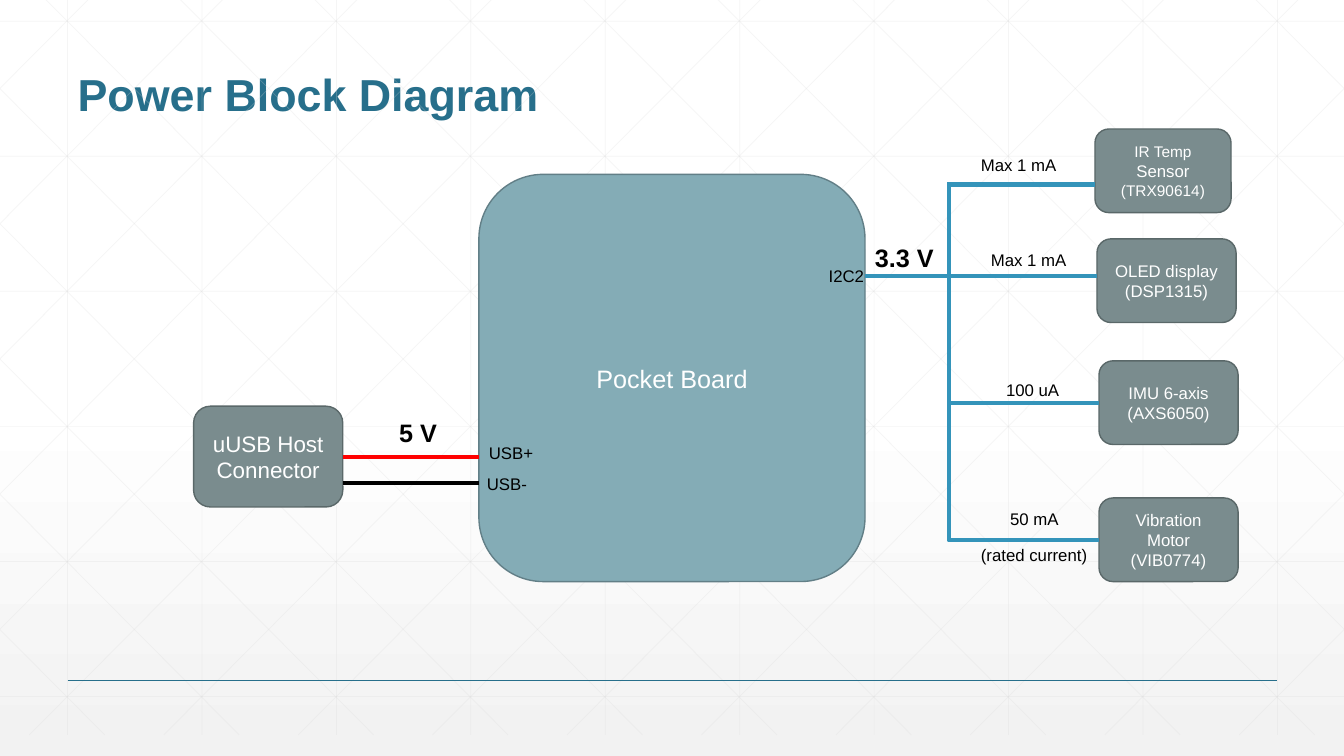
from dataclasses import dataclass

from lxml.etree import SubElement as Sub
from pptx import Presentation
from pptx.dml.color import RGBColor as RGB
from pptx.enum.shapes import MSO_CONNECTOR as Link, MSO_SHAPE as Shape
from pptx.enum.text import MSO_ANCHOR as Anchor, PP_ALIGN as Align
from pptx.oxml.ns import qn
from pptx.util import Inches, Pt


@dataclass(frozen=True)
class Theme:
    font: str = "Arial"
    title: str = "276F8B"
    board: str = "84ACB6"
    board_edge: str = "627F87"
    unit: str = "7A8C8E"
    unit_edge: str = "5A6869"
    bus: str = "3494BA"
    plus: str = "FF0000"
    black: str = "000000"
    white: str = "FFFFFF"
    fade: str = "F2F2F2"
    mesh: str = "D9D9D9"
    head_size: int = 32
    big: int = 18
    mid: int = 16
    small: int = 12
    tiny: int = 11


T = Theme()
WIDE, HIGH = 13.33, 7.5


def style(para, size, color, bold=False):
    for run in para.runs:
        font = run.font
        font.name, font.size, font.bold = T.font, Pt(size), bold
        font.color.rgb = RGB.from_string(color)


def line(shapes, start, end, color, width=3, kind=Link.STRAIGHT):
    ends = [Inches(v) for v in (*start, *end)]
    link = shapes.add_connector(kind, *ends)
    link.line.color.rgb = RGB.from_string(color)
    link.line.width = Pt(width)
    Sub(link._element.spPr, qn("a:effectLst"))
    return link


def elbow(shapes, start, end):
    """Run down first, then across."""
    link = line(shapes, start, end, T.bus, kind=Link.ELBOW)
    shape = link._element.spPr.find(qn("a:prstGeom"))
    guides = shape.find(qn("a:avLst"))
    if guides is None:
        guides = Sub(shape, qn("a:avLst"))
    Sub(guides, qn("a:gd"), name="adj1", fmla="val 0")


def block(shapes, spot, text, size, fill=T.unit, edge=T.unit_edge):
    box = shapes.add_shape(Shape.ROUNDED_RECTANGLE, *[Inches(v) for v in spot])
    box.shadow.inherit = False
    box.fill.solid()
    box.fill.fore_color.rgb = RGB.from_string(fill)
    box.line.color.rgb = RGB.from_string(edge)
    box.line.width = Pt(1)
    frame = box.text_frame
    frame.text = text
    frame.vertical_anchor = Anchor.MIDDLE
    for para in frame.paragraphs:
        para.alignment = Align.CENTER
        style(para, size, T.white)
    return box


def label(shapes, spot, text, size=T.small, bold=False):
    box = shapes.add_textbox(*[Inches(v) for v in spot])
    frame = box.text_frame
    frame.word_wrap = True
    frame.text = text
    style(frame.paragraphs[0], size, T.black, bold)


def backdrop(slide):
    fill = slide.background.fill
    fill.gradient()
    fill.gradient_angle = 270
    for stop, spot, color in zip(fill.gradient_stops, (0.53, 1), (T.white, T.fade)):
        stop.position = spot
        stop.color.rgb = RGB.from_string(color)


def mesh(slide):
    top, low, step = -0.21, 7.29, 4 / 3
    run = 7.455
    slope = (low - top) / run
    rays = [((0.67 + step * i, top), (0.67 + step * i, low)) for i in range(10)]
    rays += [((0, 0.21 + 1.34 * i), (WIDE, 0.21 + 1.34 * i)) for i in range(6)]
    # Diagonals clipped at the slide edges, each with its mirror
    for i in range(-5, 10):
        base = 0.25 + step * i
        left, right = max(base, 0), min(base + run, WIDE)
        y1, y2 = (top + (x - base) * slope for x in (left, right))
        rays.append(((left, y1), (right, y2)))
        rays.append(((WIDE - left, y1), (WIDE - right, y2)))
    group = slide.shapes.add_group_shape()
    for start, end in rays:
        link = line(group.shapes, start, end, T.mesh, 0.5)
        tint = link._element.spPr.find(".//" + qn("a:srgbClr"))
        Sub(tint, qn("a:alpha"), val="25000")


def heading(slide):
    title = slide.shapes.title
    title.left, title.top = Inches(0.67), Inches(0.25)
    title.width, title.height = Inches(12), Inches(1)
    frame = title.text_frame
    frame.text = "Power Block Diagram"
    frame.vertical_anchor = Anchor.BOTTOM
    para = frame.paragraphs[0]
    para.alignment, para.line_spacing = Align.LEFT, 0.9
    style(para, T.head_size, T.title, True)


def main():
    deck = Presentation()
    deck.slide_width, deck.slide_height = Inches(WIDE), Inches(HIGH)
    slide = deck.slides.add_slide(deck.slide_layouts[5])
    shapes = slide.shapes

    # Background, title and footer rule
    backdrop(slide)
    mesh(slide)
    line(shapes, (0.67, 6.75), (12.67, 6.75), T.title, 1)
    heading(slide)

    # Main board and the units around it
    block(shapes, (4.75, 1.73, 3.83, 4.04), "Pocket Board", T.big,
          T.board, T.board_edge)
    block(shapes, (1.92, 4.03, 1.48, 1), "uUSB Host Connector", T.mid)
    sensor = block(shapes, (10.86, 1.28, 1.35, 0.83),
                   "IR Temp \n(TRX90614)", T.tiny)
    first = sensor.text_frame.paragraphs[0]
    word = first.add_run()
    word.text = "Sensor"
    word.font.name, word.font.size = T.font, Pt(T.small)
    word.font.color.rgb = RGB.from_string(T.white)
    for left, top, text in (
        (10.88, 2.37, "OLED display\n(DSP1315)"),
        (10.9, 3.58, "IMU 6-axis\n(AXS6050)"),
        (10.9, 4.94, "Vibration Motor\n(VIB0774)"),
    ):
        block(shapes, (left, top, 1.38, 0.83), text, T.small)

    # 3.3 V bus
    for start, end in (
        ((8.58, 2.74), (9.42, 2.74)),
        ((9.41, 2.76), (9.41, 1.81)),
        ((9.42, 1.83), (10.86, 1.83)),
        ((9.4, 2.74), (10.88, 2.74)),
    ):
        line(shapes, start, end, T.bus)
    elbow(shapes, (9.41, 2.43), (10.9, 4))
    elbow(shapes, (9.41, 4), (10.9, 5.36))

    # 5 V supply
    line(shapes, (4.75, 4.53), (3.4, 4.53), T.plus)
    line(shapes, (3.4, 4.79), (4.75, 4.79), T.black)

    # Voltages, pins and currents
    label(shapes, (3.86, 4.09, 1.19, 0.4), "5 V", T.big, True)
    label(shapes, (8.58, 2.35, 0.86, 0.4), "3.3 V", T.big, True)
    for left, top, width, text in (
        (8.12, 2.59, 0.75, "I2C2"),
        (4.75, 4.34, 0.75, "USB+"),
        (4.73, 4.65, 0.75, "USB-"),
        (9.63, 1.49, 1.23, "Max 1 mA"),
        (9.73, 2.43, 1.23, "Max 1 mA"),
        (9.88, 3.72, 1.04, "100 uA"),
        (9.92, 5, 1.3, "50 mA"),
        (9.63, 5.36, 1.28, "(rated current)"),
    ):
        label(shapes, (left, top, width, 0.3), text)

    deck.save("out.pptx")


main()
